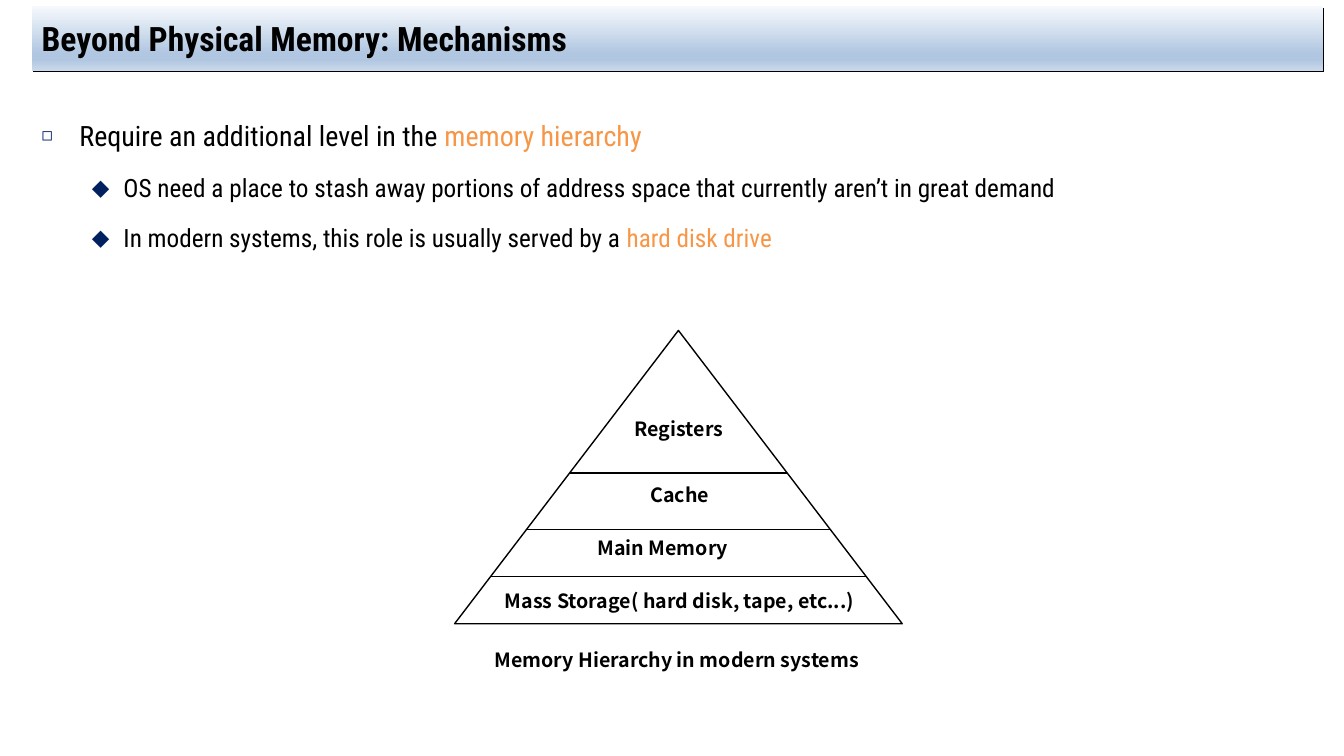
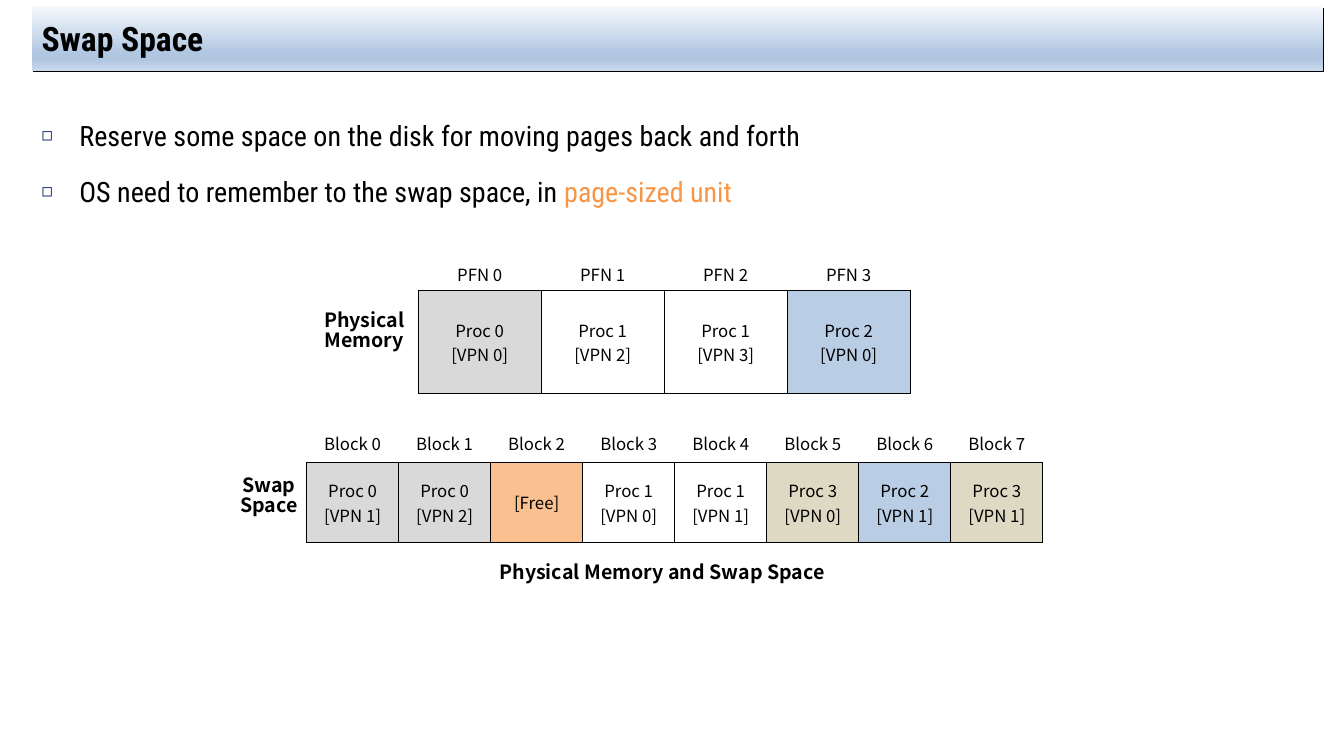
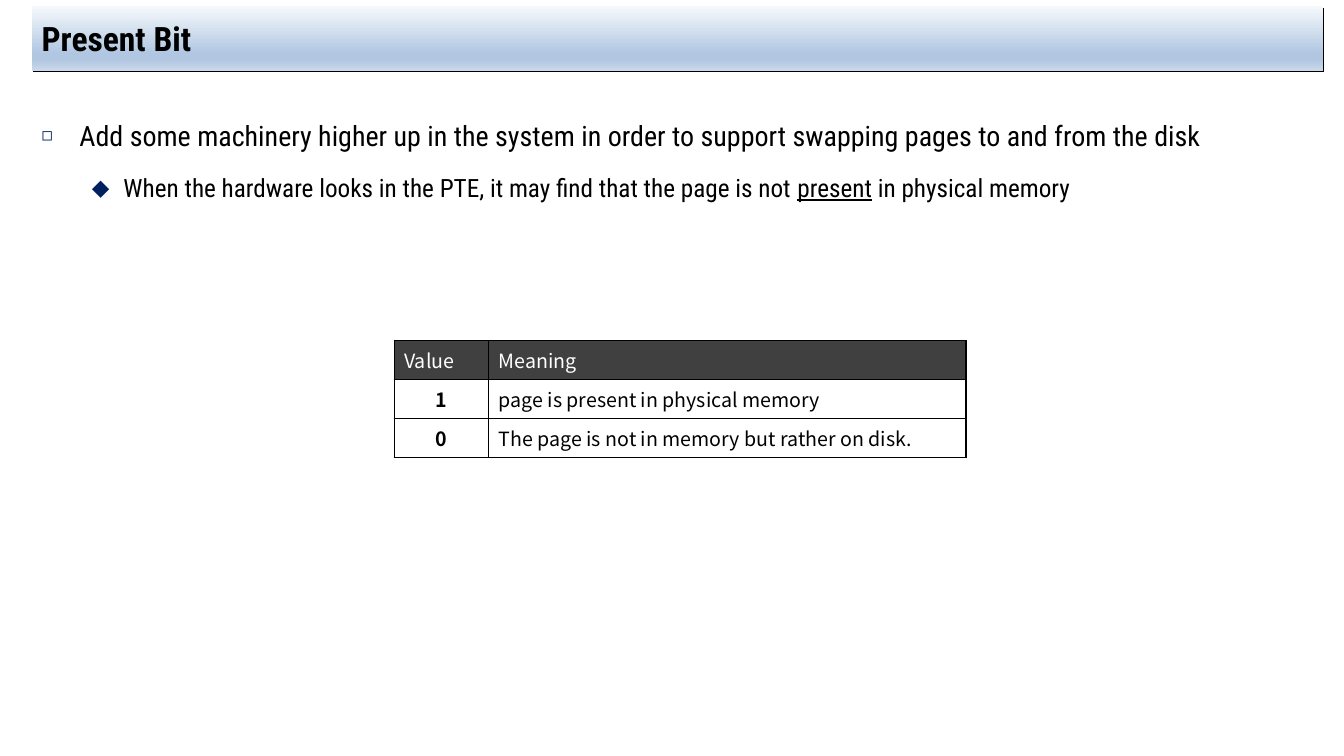
from lxml import etree
from pptx import Presentation
from pptx.dml.color import RGBColor
from pptx.enum.shapes import MSO_CONNECTOR, MSO_SHAPE
from pptx.enum.text import MSO_ANCHOR, MSO_AUTO_SIZE, PP_ALIGN
from pptx.oxml import parse_xml
from pptx.oxml.ns import qn
from pptx.util import Pt

LEFT, CENTER = PP_ALIGN.LEFT, PP_ALIGN.CENTER
TOP, MIDDLE = MSO_ANCHOR.TOP, MSO_ANCHOR.MIDDLE
NO_FIT = MSO_AUTO_SIZE.NONE
STRAIGHT = MSO_CONNECTOR.STRAIGHT
TRIANGLE = MSO_SHAPE.ISOSCELES_TRIANGLE

BLACK = RGBColor(0x00, 0x00, 0x00)
WHITE = RGBColor(0xFF, 0xFF, 0xFF)
ORANGE = RGBColor(0xF7, 0x96, 0x46)
NAVY = RGBColor(0x00, 0x20, 0x60)
GRAY = RGBColor(0xD9, 0xD9, 0xD9)
BLUE = RGBColor(0xB9, 0xCD, 0xE5)
PEACH = RGBColor(0xFA, 0xC0, 0x90)
TAN = RGBColor(0xDD, 0xD9, 0xC3)
CHARCOAL = RGBColor(0x40, 0x40, 0x40)
BAND_STOPS = [
    (0, RGBColor(0xF6, 0xF9, 0xFC)),
    (74, RGBColor(0xB0, 0xC6, 0xE1)),
    (83, RGBColor(0xB0, 0xC6, 0xE1)),
    (100, RGBColor(0xCA, 0xD9, 0xEB)),
]
HEAD_FONT = "Roboto Condensed"
LABEL_FONT = "Noto Sans CJK KR"
A_NS = 'xmlns:a="http://schemas.openxmlformats.org/drawingml/2006/main"'

TITLE_BOX = (22.5, 4.5, 922.5, 46)
BODY_BOX = (22.5, 69, 922.5, 433.5)
LEVELS = [
    dict(size=20, margin=27, indent=-27, char="◻", scale=65),
    dict(size=18, margin=58.5, indent=-22.5, char="⬥", scale=100),
]
LABEL_SPACING = 0.85

HIERARCHY = dict(
    title="Beyond Physical Memory: Mechanisms",
    bullets=[
        (0, [("Require an additional level in the ", {}),
             ("memory hierarchy", {"color": ORANGE})]),
        (1, [("OS need a place to stash away portions of address space that "
              "currently aren’t in great demand", {})]),
        (1, [("In modern systems, this role is usually served by a ", {}),
             ("hard disk drive", {"color": ORANGE})]),
    ],
)
PYRAMID = (324.75, 236, 319.75, 209.5)
DIVIDERS = [337.75, 378, 411.75]
PYRAMID_LABELS = [
    ("Registers", 485, 296.75),
    ("Cache", 485.5, 344.25),
    ("Main Memory", 473.5, 381.75),
    ("Mass Storage( hard disk, tape, etc...)", 485.5, 419.75),
    ("Memory Hierarchy in modern systems", 483.5, 461.5),
]

SWAP = dict(
    title="Swap Space",
    bullets=[
        (0, [("Reserve some space on the disk for moving pages back and forth", {})]),
        (0, [("OS need to remember to the swap space, in ", {}),
             ("page-sized unit", {"color": ORANGE})]),
    ],
)
MEMORY_STRIPS = [
    dict(name=["Physical", "Memory"], name_at=(260.25, 219), prefix="PFN",
         left=298.75, top=207.5, column=87.85, height=73.5, label_top=188,
         cells=[(["Proc 0", "[VPN 0]"], GRAY), (["Proc 1", "[VPN 2]"], WHITE),
                (["Proc 1", "[VPN 3]"], WHITE), (["Proc 2", "[VPN 0]"], BLUE)]),
    dict(name=["Swap", "Space"], name_at=(192, 336.5), prefix="Block",
         left=219, top=330.5, column=65.75, height=57, label_top=308.5,
         cells=[(["Proc 0", "[VPN 1]"], GRAY), (["Proc 0", "[VPN 2]"], GRAY),
                (["[Free]"], PEACH), (["Proc 1", "[VPN 0]"], WHITE),
                (["Proc 1", "[VPN 1]"], WHITE), (["Proc 3", "[VPN 0]"], TAN),
                (["Proc 2", "[VPN 1]"], BLUE), (["Proc 3", "[VPN 1]"], TAN)]),
]
SWAP_CAPTION = ("Physical Memory and Swap Space", 473, 399)

PRESENT = dict(
    title="Present Bit",
    bullets=[
        (0, [("Add some machinery higher up in the system in order to support "
              "swapping pages to and from the disk", {})]),
        (1, [("When the hardware looks in the PTE, it may find that the page is not ", {}),
             ("present", {"underline": True}),
             (" in physical memory", {})]),
    ],
)
PRESENT_ROWS = [
    ("Value", "Meaning"),
    ("1", "page is present in physical memory"),
    ("0", "The page is not in memory but rather on disk."),
]
PRESENT_AT = (281.5, 243.5)
PRESENT_COLUMNS = [67.5, 341]
PRESENT_ROW_HEIGHT = 27.75


def place(shape, box):
    shape.left, shape.top, shape.width, shape.height = map(Pt, box)


def add_run(p, text, font, size, color=BLACK, bold=False, underline=False):
    r = p.add_run()
    r.text = text
    r.font.name = font
    r.font.size = Pt(size)
    r.font.bold = bold
    r.font.underline = underline
    r.font.color.rgb = color


def add_lines(tf, lines, size, align=CENTER, spacing=1, **style):
    for i, line in enumerate(lines):
        p = tf.add_paragraph() if i else tf.paragraphs[0]
        p.alignment = align
        p.line_spacing = spacing
        add_run(p, line, LABEL_FONT, size, **style)


def add_band(shape):
    stops = "".join(
        f'<a:gs pos="{pos * 1000}"><a:srgbClr val="{color}"/></a:gs>'
        for pos, color in BAND_STOPS)
    shape.element.spPr.append(parse_xml(
        f'<a:gradFill {A_NS} rotWithShape="1"><a:gsLst>{stops}</a:gsLst>'
        '<a:lin ang="5400000" scaled="0"/></a:gradFill>'))
    shape.element.spPr.append(parse_xml(
        f'<a:effectLst {A_NS}><a:outerShdw dist="17780" dir="2700000" algn="ctr">'
        f'<a:srgbClr val="{BLACK}"/></a:outerShdw></a:effectLst>'))


def set_bullet(p, level):
    pPr = p._p.get_or_add_pPr()
    pPr.set("marL", str(Pt(level["margin"])))
    pPr.set("indent", str(Pt(level["indent"])))
    color = etree.SubElement(pPr, qn("a:buClr"))
    etree.SubElement(color, qn("a:srgbClr"), val=str(NAVY))
    etree.SubElement(pPr, qn("a:buSzPct"), val=str(level["scale"] * 1000))
    etree.SubElement(pPr, qn("a:buChar"), char=level["char"])


def add_slide(prs, content):
    s = prs.slides.add_slide(prs.slide_layouts[1])
    title, body = s.shapes.title, s.placeholders[1]
    place(title, TITLE_BOX)
    add_band(title)
    tf = title.text_frame
    tf.auto_size = NO_FIT
    tf.vertical_anchor = MIDDLE
    tf.paragraphs[0].alignment = LEFT
    add_run(tf.paragraphs[0], content["title"], HEAD_FONT, 24, bold=True)

    place(body, BODY_BOX)
    tf = body.text_frame
    tf.auto_size = NO_FIT
    for i, (depth, runs) in enumerate(content["bullets"]):
        level = LEVELS[depth]
        p = tf.add_paragraph() if i else tf.paragraphs[0]
        p.level = depth
        set_bullet(p, level)
        p.line_spacing = 1.5
        p.space_before = Pt(level["size"] * 0.2 if i else 0)
        for text, style in runs:
            add_run(p, text, HEAD_FONT, level["size"], **style)
    return s


def add_label(s, lines, center, top, width=322, size=14, bold=True):
    height = 7 + 17 * len(lines)
    box = s.shapes.add_textbox(Pt(center - width / 2), Pt(top), Pt(width), Pt(height))
    box.text_frame.word_wrap = True
    add_lines(box.text_frame, lines, size, spacing=LABEL_SPACING, bold=bold)


def add_grid(s, left, top, columns, row_height, row_count):
    frame = s.shapes.add_table(row_count, len(columns), Pt(left), Pt(top),
                               Pt(sum(columns)), Pt(row_height * row_count))
    table = frame.table
    table.first_row = table.horz_banding = False
    for column, width in zip(table.columns, columns):
        column.width = Pt(width)
    return table


def fill_cell(cell, lines, fill, size, anchor=MIDDLE, **style):
    tcPr = cell._tc.get_or_add_tcPr()
    for side in ("lnL", "lnR", "lnT", "lnB"):
        tcPr.append(parse_xml(
            f'<a:{side} {A_NS} w="{Pt(1)}"><a:solidFill><a:srgbClr val="{BLACK}"/>'
            f'</a:solidFill></a:{side}>'))
    cell.fill.solid()
    cell.fill.fore_color.rgb = fill
    cell.vertical_anchor = anchor
    add_lines(cell.text_frame, lines, size, **style)


def add_pyramid(s):
    left, top, width, height = PYRAMID
    pyramid = s.shapes.add_shape(TRIANGLE, *map(Pt, PYRAMID))
    pyramid.shadow.inherit = False
    pyramid.fill.solid()
    pyramid.fill.fore_color.rgb = WHITE
    pyramid.line.color.rgb = BLACK
    pyramid.line.width = Pt(1)
    center = left + width / 2
    for y in DIVIDERS:
        half = (y - top) / height * width / 2
        divider = s.shapes.add_connector(
            STRAIGHT, Pt(center - half), Pt(y), Pt(center + half), Pt(y))
        divider.line.color.rgb = BLACK
        divider.line.width = Pt(1)
        etree.SubElement(divider.element.spPr, qn("a:effectLst"))
    for text, label_center, label_top in PYRAMID_LABELS:
        add_label(s, [text], label_center, label_top)


def add_strip(s, strip):
    cells, column = strip["cells"], strip["column"]
    table = add_grid(s, strip["left"], strip["top"], [column] * len(cells),
                     strip["height"], 1)
    for i, (lines, fill) in enumerate(cells):
        fill_cell(table.cell(0, i), lines, fill, 12)
        add_label(s, [f'{strip["prefix"]} {i}'], strip["left"] + column * (i + 0.5),
                  strip["label_top"], width=127, size=12, bold=False)
    add_label(s, strip["name"], *strip["name_at"], width=127)


def add_present_table(s):
    table = add_grid(s, *PRESENT_AT, PRESENT_COLUMNS, PRESENT_ROW_HEIGHT,
                     len(PRESENT_ROWS))
    for i, row in enumerate(PRESENT_ROWS):
        for j, text in enumerate(row):
            is_value = i > 0 and j == 0
            fill_cell(table.cell(i, j), [text], WHITE if i else CHARCOAL, 14,
                      anchor=TOP, align=CENTER if is_value else LEFT,
                      color=BLACK if i else WHITE, bold=is_value)


def main():
    prs = Presentation()
    prs.slide_width, prs.slide_height = Pt(960), Pt(540)

    add_pyramid(add_slide(prs, HIERARCHY))

    s = add_slide(prs, SWAP)
    for strip in MEMORY_STRIPS:
        add_strip(s, strip)
    caption, center, top = SWAP_CAPTION
    add_label(s, [caption], center, top)

    add_present_table(add_slide(prs, PRESENT))
    prs.save("out.pptx")


if __name__ == "__main__":
    main()
